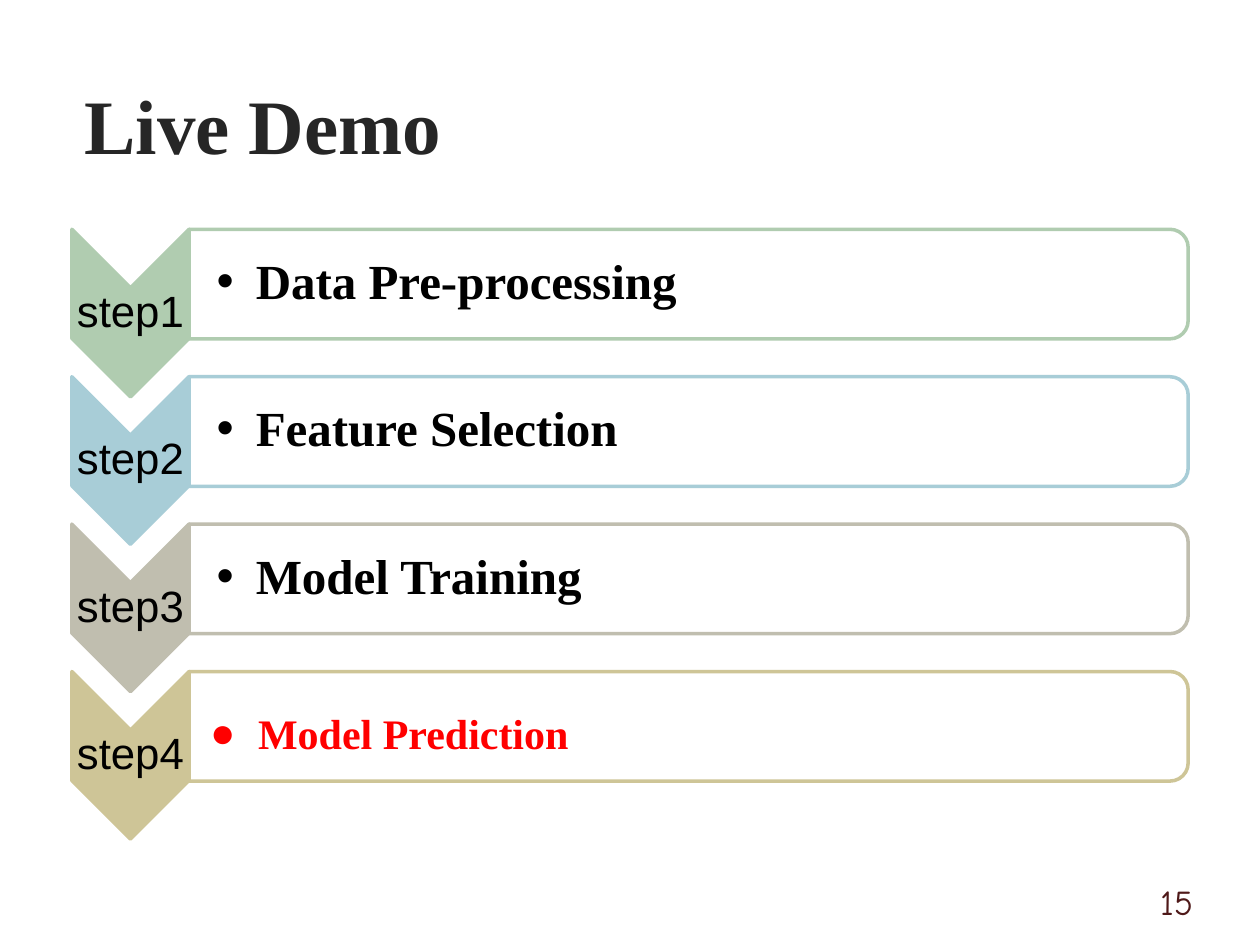
from dataclasses import dataclass
from lxml.etree import SubElement
from pptx import Presentation
from pptx.dml.color import RGBColor
from pptx.enum.shapes import MSO_SHAPE as Preset
from pptx.enum.text import MSO_ANCHOR as Anchor, PP_ALIGN as Align
from pptx.oxml.ns import qn
from pptx.util import Inches, Pt

TITLE = "Live Demo"
PAGE_NUMBER = "15"
STEPS = [
    ("step1", "Data Pre-processing", "B0CCB0"),
    ("step2", "Feature Selection", "A8CDD7"),
    ("step3", "Model Training", "C0BEAF"),
    ("step4", "Model Prediction", "CEC597"),
]


@dataclass(frozen=True)
class Theme:
    serif: str = "Times New Roman"
    sans: str = "Arial"
    number_font: str = "Comic Neue"
    title: str = "262626"
    text: str = "000000"
    highlight: str = "FF0000"
    number: str = "4F1919"
    panel: str = "FFFFFF"
    title_size: int = 44
    item_size: int = 28
    highlight_size: int = 24
    step_size: int = 25
    number_size: int = 20
    line_width: int = 2


THEME = Theme()
WIDTH, HEIGHT = 10, 7.5
LEFT, RIGHT = 0.57, 9.43
FIRST_ROW, ROW_PITCH = 1.82, 1.17
CHEVRON_WIDTH, CHEVRON_HEIGHT = 0.93, 1.33
PANEL_LEFT, PANEL_HEIGHT = LEFT + CHEVRON_WIDTH, 0.87
INSET = 0.02


def style_text(paragraph, font_name, size, color, bold=False):
    for run in paragraph.runs:
        run.font.name = font_name
        run.font.size = Pt(size)
        run.font.bold = bold
        run.font.color.rgb = RGBColor.from_string(color)


def add_text(slide, box, text, insets=None, wrap=True, anchor=Anchor.TOP):
    frame = slide.shapes.add_textbox(*map(Inches, box)).text_frame
    frame.word_wrap = wrap
    frame.vertical_anchor = anchor
    if insets:
        frame.margin_left, frame.margin_top, frame.margin_right, frame.margin_bottom = map(Inches, insets)
    frame.text = text
    return frame.paragraphs[0]


def add_bullet(paragraph, character, indent):
    properties = paragraph._p.get_or_add_pPr()
    properties.set("marL", str(Inches(indent)))
    properties.set("indent", str(-Inches(indent)))
    SubElement(properties, qn("a:buFont"), typeface=THEME.sans)
    SubElement(properties, qn("a:buChar"), char=character)


def add_turned_shape(slide, preset, box, fill, line):
    left, top, width, height = box
    turned = (left + (width - height) / 2, top + (height - width) / 2, height, width)
    shape = slide.shapes.add_shape(preset, *map(Inches, turned))
    shape.rotation = 90
    shape.shadow.inherit = False
    shape.fill.solid()
    shape.fill.fore_color.rgb = RGBColor.from_string(fill)
    shape.line.color.rgb = RGBColor.from_string(line)
    shape.line.width = Pt(THEME.line_width)
    return shape


def add_step(slide, row, label, item, color, highlighted):
    top = FIRST_ROW + row * ROW_PITCH
    panel_width = RIGHT - PANEL_LEFT
    add_turned_shape(slide, Preset.CHEVRON, (LEFT, top, CHEVRON_WIDTH, CHEVRON_HEIGHT), color, color)
    paragraph = add_text(slide, (LEFT, top + CHEVRON_WIDTH / 2, CHEVRON_WIDTH, CHEVRON_HEIGHT - CHEVRON_WIDTH),
                         label, [INSET] * 4, anchor=Anchor.MIDDLE)
    paragraph.alignment = Align.CENTER
    paragraph.line_spacing = 0.9
    style_text(paragraph, THEME.sans, THEME.step_size, THEME.text)

    panel = add_turned_shape(slide, Preset.ROUND_2_SAME_RECTANGLE,
                             (PANEL_LEFT, top, panel_width, PANEL_HEIGHT), THEME.panel, color)
    panel_color = panel._element.spPr.find(qn("a:solidFill"))[0]
    SubElement(panel_color, qn("a:alpha"), val="90000")

    if highlighted:
        paragraph = add_text(slide, (1.57, top + 0.24, 3.07, 0.5), item, wrap=False)
        add_bullet(paragraph, "●", 0.38)
        style_text(paragraph, THEME.serif, THEME.highlight_size, THEME.highlight, True)
    else:
        paragraph = add_text(slide, (PANEL_LEFT, top + 0.04, panel_width - 0.05, 0.78), item,
                             (0.22, INSET, INSET, INSET), anchor=Anchor.MIDDLE)
        paragraph.line_spacing = 0.9
        add_bullet(paragraph, "•", 0.31)
        style_text(paragraph, THEME.serif, THEME.item_size, THEME.text, True)


def main():
    presentation = Presentation()
    presentation.slide_width, presentation.slide_height = Inches(WIDTH), Inches(HEIGHT)
    slide = presentation.slides.add_slide(presentation.slide_layouts[5])

    number = add_text(slide, (9.11, 6.94, 0.65, 0.44), PAGE_NUMBER, wrap=False)
    style_text(number, THEME.number_font, THEME.number_size, THEME.number)

    title = slide.shapes.title
    title.left, title.top, title.width, title.height = map(Inches, (LEFT, 0.36, RIGHT - LEFT, 1.25))
    title.text_frame.text = TITLE
    title.text_frame.vertical_anchor = Anchor.MIDDLE
    heading = title.text_frame.paragraphs[0]
    heading.alignment = Align.LEFT
    style_text(heading, THEME.serif, THEME.title_size, THEME.title, True)

    for row, (label, item, color) in enumerate(STEPS):
        add_step(slide, row, label, item, color, row == len(STEPS) - 1)

    presentation.save("out.pptx")


if __name__ == "__main__":
    main()
